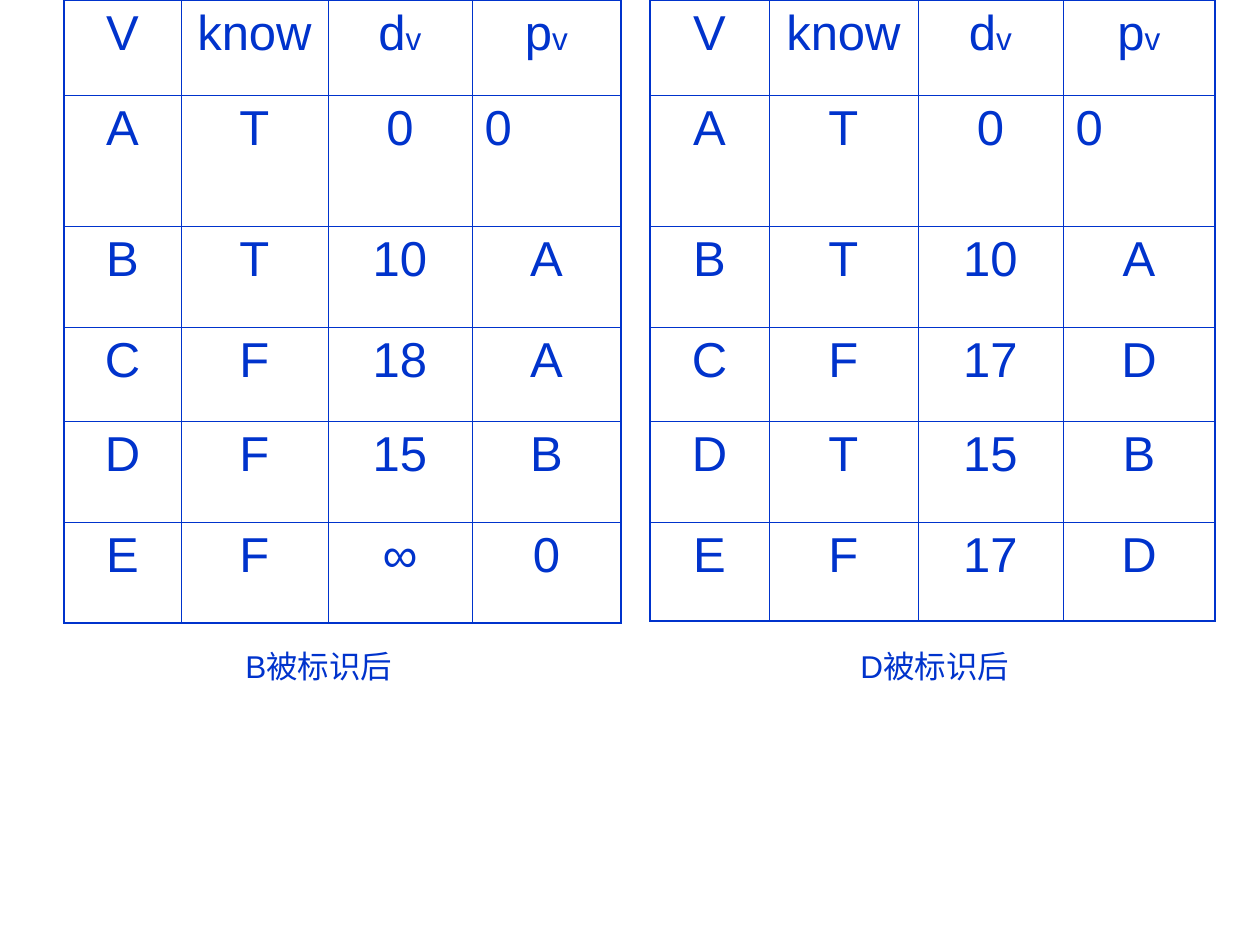
from lxml.etree import SubElement
from pptx import Presentation
from pptx.dml.color import RGBColor
from pptx.enum.text import MSO_AUTO_SIZE as AutoSize, PP_ALIGN as Align
from pptx.oxml.ns import qn
from pptx.util import Emu, Pt

BLUE = RGBColor(0x00, 0x33, 0xCC)
OUTER, INNER = Pt(1.08), Pt(0.45)
HEADER = ["V", "know", "dv", "pv"]
ROW_HEIGHTS = [95, 131, 101, 94, 101]

STEPS = [
    {"left": 64, "columns": [117, 147, 144, 149], "last_row": 101,
     "rows": ["A T 0 0", "B T 10 A", "C F 18 A", "D F 15 B", "E F ∞ 0"],
     "caption": "B被标识后", "caption_left": 233, "caption_width": 278},
    {"left": 650, "columns": [119, 149, 145, 152], "last_row": 99,
     "rows": ["A T 0 0", "B T 10 A", "C F 17 D", "D T 15 B", "E F 17 D"],
     "caption": "D被标识后", "caption_left": 848, "caption_width": 218},
]


def px(value):
    return Emu(round(value * 914400 / 126))


def style_span(span, size):
    span.font.name = "Arial"
    span.font.size = Pt(size)
    span.font.color.rgb = BLUE


deck = Presentation()
deck.slide_width, deck.slide_height = px(1260), px(945)
page = deck.slides.add_slide(deck.slide_layouts[6])

for step in STEPS:
    heights = ROW_HEIGHTS + [step["last_row"]]
    widths = step["columns"]
    grid = [HEADER] + [row.split() for row in step["rows"]]
    last_row, last_column = len(heights) - 1, len(widths) - 1
    table = page.shapes.add_table(
        len(heights), len(widths), px(step["left"]), 0,
        px(sum(widths)), px(sum(heights))).table
    table.first_row = table.horz_banding = False
    for column, width in zip(table.columns, widths):
        column.width = px(width)
    for row, height in zip(table.rows, heights):
        row.height = px(height)

    for r, values in enumerate(grid):
        for c, value in enumerate(values):
            cell = table.cell(r, c)
            para = cell.text_frame.paragraphs[0]
            para.alignment = Align.LEFT if (r, c) == (1, 3) else Align.CENTER
            has_index = r == 0 and c >= 2
            for text in value if has_index else [value]:
                span = para.add_run()
                span.text = text
                style_span(span, 18 if has_index and text == "v" else 28)

            properties = cell._tc.get_or_add_tcPr()
            edges = {"lnL": c == 0, "lnR": c == last_column,
                     "lnT": r == 0, "lnB": r == last_row}
            for edge, is_outer in edges.items():
                line = SubElement(properties, qn(f"a:{edge}"),
                                  w=str(OUTER if is_outer else INNER))
                fill = SubElement(line, qn("a:solidFill"))
                SubElement(fill, qn("a:srgbClr"), val=str(BLUE))
            cell.fill.background()

    box = page.shapes.add_textbox(px(step["caption_left"]), px(641),
                                  px(step["caption_width"]), px(50))
    box.text_frame.word_wrap = True
    box.text_frame.auto_size = AutoSize.SHAPE_TO_FIT_TEXT
    box.text_frame.text = step["caption"]
    style_span(box.text_frame.paragraphs[0].runs[0], 18)

deck.save("out.pptx")
